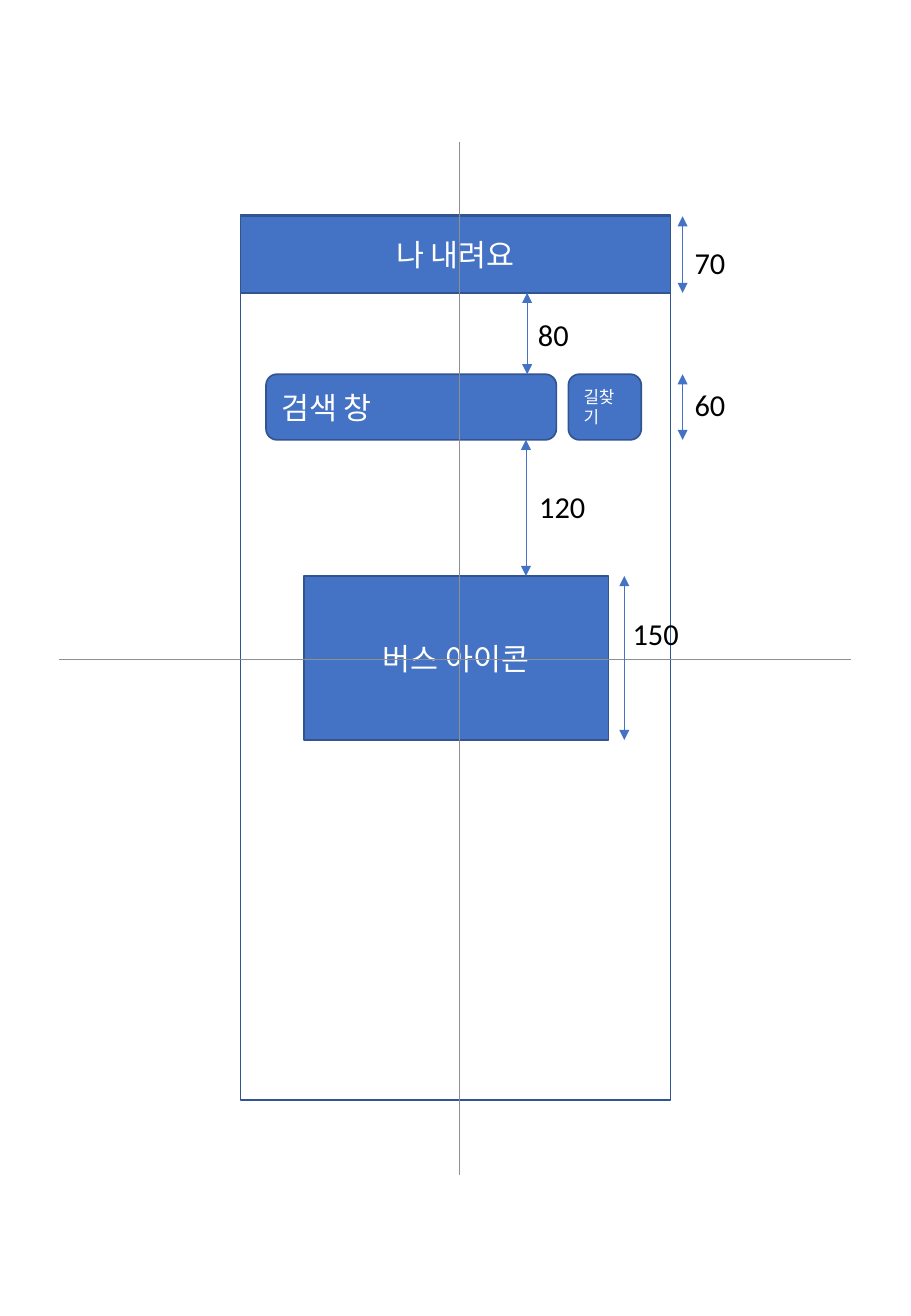
"""Draws the phone screen wireframe with its height measures."""
from pptx import Presentation
from pptx.dml.color import RGBColor
from pptx.enum.shapes import MSO_CONNECTOR, MSO_SHAPE
from pptx.enum.text import MSO_ANCHOR, MSO_AUTO_SIZE, PP_ALIGN
from pptx.oxml.ns import qn
from pptx.util import Inches, Pt
from lxml.etree import SubElement

BLUE = RGBColor(0x44, 0x72, 0xC4)
NAVY = RGBColor(0x32, 0x54, 0x91)
GRAY = RGBColor(0x8F, 0x8F, 0x8F)
WHITE = RGBColor(0xFF, 0xFF, 0xFF)
BLACK = RGBColor(0, 0, 0)
FONT = "Calibri"

RECT, ROUND = MSO_SHAPE.RECTANGLE, MSO_SHAPE.ROUNDED_RECTANGLE
CENTER, LEFT = PP_ALIGN.CENTER, PP_ALIGN.LEFT

SCREEN = (1.98, 1.77, 3.54, 7.28)
HEADER = (1.78, 2.41)
SEARCH = (3.08, 3.62)
ICON = (4.74, 6.09)

PARTS = [
    ("버스 아이콘", RECT, 2.5, 2.51, ICON, CENTER, 18),
    ("검색 창", ROUND, 2.19, 2.39, SEARCH, LEFT, 18),
    ("나 내려요", RECT, 1.98, 3.54, HEADER, CENTER, 18),
    ("길찾기", ROUND, 4.68, 0.6, SEARCH, LEFT, 10),
]
MEASURES = [
    ("70", 5.62, HEADER, 5.62, 1.96),
    ("80", 4.34, (HEADER[1], SEARCH[0]), 4.33, 2.55),
    ("60", 5.62, SEARCH, 5.62, 3.13),
    ("120", 4.33, (SEARCH[1], ICON[0]), 4.34, 3.97),
    ("150", 5.14, ICON, 5.11, 5.01),
]
GUIDES = [(3.78, 1.17, 3.78, 9.67), (0.49, 5.43, 7.01, 5.43)]
LABEL_SIZE = (0.81, 0.42)


def write(frame, words, size, color, align=LEFT):
    frame.word_wrap = True
    paragraph = frame.paragraphs[0]
    paragraph.alignment = align
    run = paragraph.add_run()
    run.text = words
    run.font.name = FONT
    run.font.size = Pt(size)
    run.font.color.rgb = color


def add_box(slide, kind, box, fill=None):
    shape = slide.shapes.add_shape(kind, *map(Inches, box))
    shape.shadow.inherit = False
    if fill is None:
        shape.fill.background()
    else:
        shape.fill.solid()
        shape.fill.fore_color.rgb = fill
    shape.line.color.rgb = NAVY
    shape.line.width = Pt(1)
    return shape


def add_line(slide, ends, color, arrows=False):
    line = slide.shapes.add_connector(MSO_CONNECTOR.STRAIGHT, *map(Inches, ends))
    line.line.color.rgb = color
    line.line.width = Pt(0.5)
    if arrows:
        for end in ("a:headEnd", "a:tailEnd"):
            SubElement(line.line._ln, qn(end), type="triangle")
    SubElement(line._element.spPr, qn("a:effectLst"))


def main():
    deck = Presentation()
    deck.slide_width, deck.slide_height = Inches(7.5), Inches(10.83)
    slide = deck.slides.add_slide(deck.slide_layouts[6])

    add_box(slide, RECT, SCREEN)
    for words, kind, left, width, (top, bottom), align, size in PARTS:
        part = add_box(slide, kind, (left, top, width, bottom - top), BLUE)
        part.text_frame.vertical_anchor = MSO_ANCHOR.MIDDLE
        write(part.text_frame, words, size, WHITE, align)

    for guide in GUIDES:
        add_line(slide, guide, GRAY)

    for words, x, (top, bottom), left, label_top in MEASURES:
        add_line(slide, (x, top, x, bottom), BLUE, arrows=True)
        label = slide.shapes.add_textbox(*map(Inches, (left, label_top, *LABEL_SIZE)))
        label.text_frame.auto_size = MSO_AUTO_SIZE.SHAPE_TO_FIT_TEXT
        write(label.text_frame, words, 18, BLACK)

    deck.save("out.pptx")


if __name__ == "__main__":
    main()
